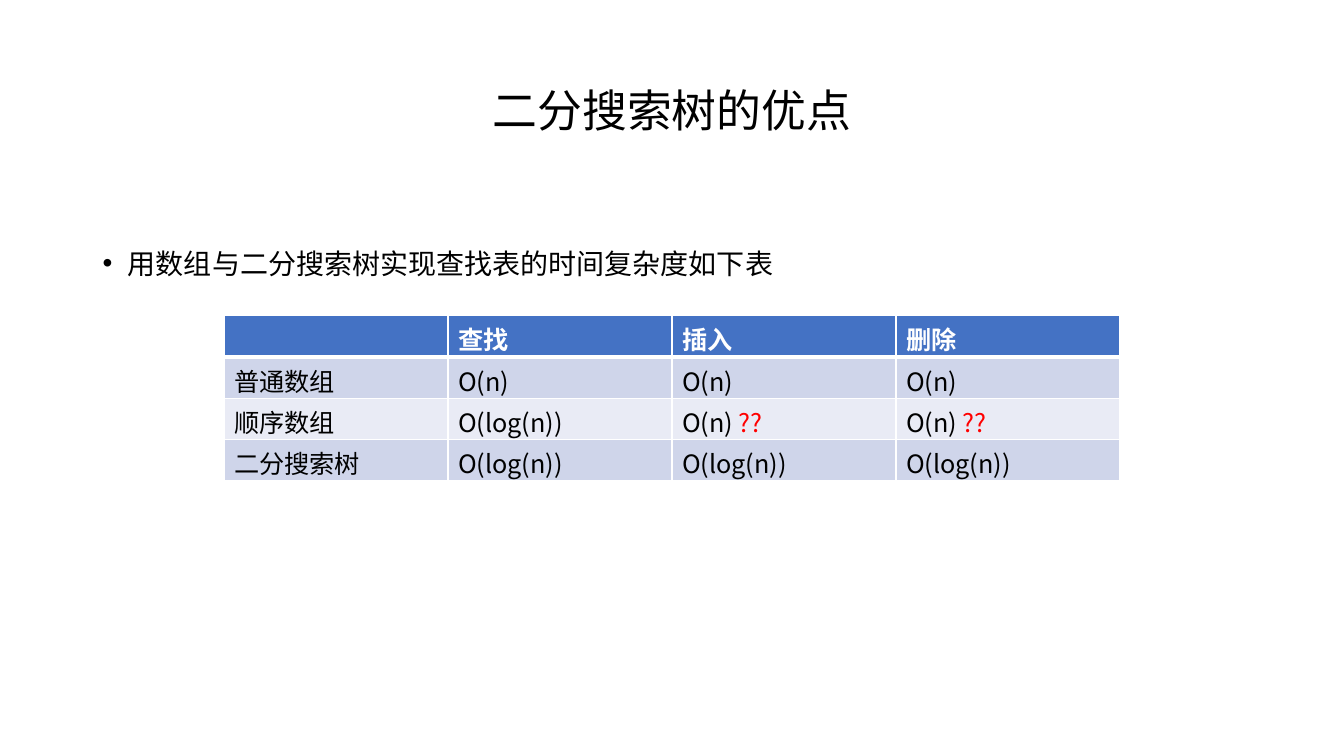
from lxml.etree import SubElement
from pptx import Presentation
from pptx.dml.color import RGBColor
from pptx.enum.text import MSO_ANCHOR as Anchor, PP_ALIGN as Align
from pptx.oxml import parse_xml
from pptx.oxml.ns import nsdecls, qn
from pptx.util import Inches, Pt

FONT = "Noto Sans CJK SC"
BLACK, WHITE, RED = "000000", "FFFFFF", "FF0000"
HEADER_FILL, BAND_FILLS = "4472C4", ("CFD5EA", "E9EBF5")
TITLE = "二分搜索树的优点"
BULLET = "用数组与二分搜索树实现查找表的时间复杂度如下表"
DOUBT = "??"
COMPLEXITY = [
    ("", "查找", "插入", "删除"),
    ("普通数组", "O(n)", "O(n)", "O(n)"),
    ("顺序数组", "O(log(n))", "O(n) ??", "O(n) ??"),
    ("二分搜索树", "O(log(n))", "O(log(n))", "O(log(n))"),
]
WIDTH, HEIGHT = 13.33, 7.5
MARGIN = 0.92
COLUMN, ROW = WIDTH / 6, 0.41
TABLE_TOP = 3.13


def color(value):
    return RGBColor.from_string(value)


def add_span(para, text, size, fill, bold=False):
    span = para.add_run()
    span.text = text
    span.font.name = FONT
    span.font.size = Pt(size)
    span.font.bold = bold
    span.font.color.rgb = color(fill)
    SubElement(span.font._element, qn("a:ea"), typeface=FONT)


def add_box(page, top, height, anchor):
    box = page.shapes.add_textbox(
        Inches(MARGIN), Inches(top), Inches(WIDTH - 2 * MARGIN), Inches(height))
    frame = box.text_frame
    frame.word_wrap = True
    frame.vertical_anchor = anchor
    frame.paragraphs[0].line_spacing = 0.9
    return frame


def set_borders(cell, top, bottom):
    props = cell._tc.get_or_add_tcPr()
    for index, (side, points) in enumerate(zip("LRTB", (1, 1, top, bottom))):
        props.insert(index, parse_xml(
            f'<a:ln{side} {nsdecls("a")} w="{Pt(points)}"><a:solidFill>'
            f'<a:srgbClr val="{WHITE}"/></a:solidFill></a:ln{side}>'))


def add_title(page):
    para = add_box(page, 0.4, 1.45, Anchor.MIDDLE).paragraphs[0]
    para.alignment = Align.CENTER
    add_span(para, TITLE, 32, BLACK)


def add_bullet(page):
    frame = add_box(page, 2, HEIGHT - 2, Anchor.TOP)
    frame.margin_top = Inches(0.48)
    para = frame.paragraphs[0]
    props = para._p.get_or_add_pPr()
    props.set("marL", str(Inches(0.25)))
    props.set("indent", str(-Inches(0.25)))
    SubElement(props, qn("a:buFont"), typeface="Arial")
    SubElement(props, qn("a:buChar"), char="•")
    add_span(para, BULLET, 20, BLACK)


def add_complexity_table(page):
    rows, columns = len(COMPLEXITY), len(COMPLEXITY[0])
    left = (WIDTH - columns * COLUMN) / 2
    table = page.shapes.add_table(
        rows, columns, Inches(left), Inches(TABLE_TOP),
        Inches(columns * COLUMN), Inches(rows * ROW)).table
    for r, labels in enumerate(COMPLEXITY):
        header = r == 0
        for c, label in enumerate(labels):
            cell = table.cell(r, c)
            cell.fill.solid()
            cell.fill.fore_color.rgb = color(
                HEADER_FILL if header else BAND_FILLS[(r - 1) % 2])
            set_borders(cell, 3 if r == 1 else 1, 3 if header else 1)
            para = cell.text_frame.paragraphs[0]
            main, doubt, _ = label.partition(DOUBT)
            if main:
                add_span(para, main, 18, WHITE if header else BLACK, header)
            if doubt:
                add_span(para, doubt, 18, RED)


def main():
    deck = Presentation()
    deck.slide_width, deck.slide_height = Inches(WIDTH), Inches(HEIGHT)
    page = deck.slides.add_slide(deck.slide_layouts[6])
    add_title(page)
    add_bullet(page)
    add_complexity_table(page)
    deck.save("out.pptx")


if __name__ == "__main__":
    main()
